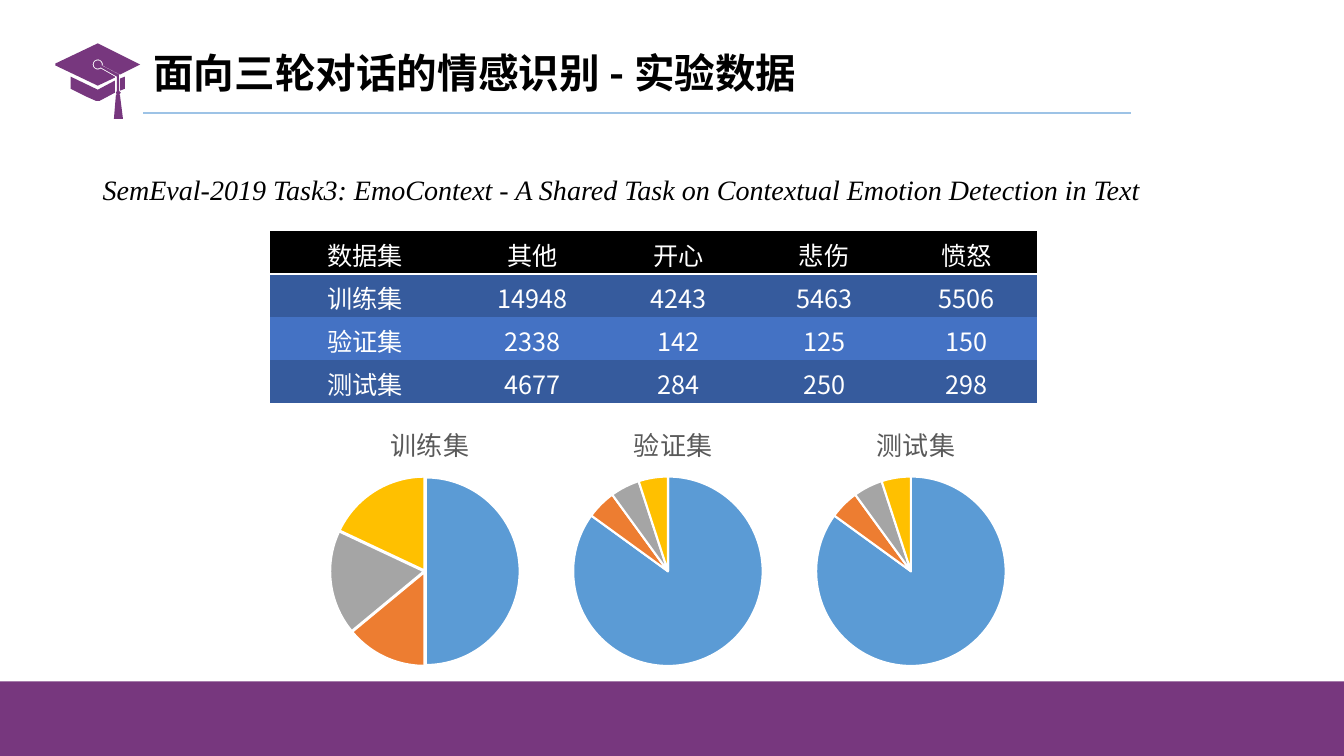
from math import cos, radians, sin

from lxml.etree import SubElement
from pptx import Presentation
from pptx.chart.data import CategoryChartData
from pptx.dml.color import RGBColor
from pptx.enum.chart import XL_CHART_TYPE as ChartType
from pptx.enum.shapes import MSO_CONNECTOR as Connector, MSO_SHAPE as Shape
from pptx.enum.text import MSO_ANCHOR as Anchor, PP_ALIGN as Align
from pptx.oxml import parse_xml
from pptx.oxml.ns import nsdecls, qn
from pptx.util import Inches, Pt

PURPLE = RGBColor(0x77, 0x37, 0x7E)
BLACK = RGBColor(0, 0, 0)
WHITE = RGBColor(0xFF, 0xFF, 0xFF)
GREY = RGBColor(0x59, 0x59, 0x59)
RULE_BLUE = RGBColor(0x9D, 0xC3, 0xE6)
ROW_DARK = RGBColor(0x36, 0x5B, 0x9D)
ROW_LIGHT = RGBColor(0x44, 0x72, 0xC4)
SLICES = [RGBColor(0x5B, 0x9B, 0xD5), RGBColor(0xED, 0x7D, 0x31),
          RGBColor(0xA5, 0xA5, 0xA5), RGBColor(0xFF, 0xC0, 0x00)]

SANS = "Noto Sans CJK SC"
TITLE_FORMAT = {"name": SANS, "size": Pt(29), "bold": True}
TASK_FORMAT = {"name": "Times New Roman", "size": Pt(20), "italic": True}
CELL_FORMAT = {"name": SANS, "size": Pt(18), "bold": False}
CHART_TITLE_FORMAT = {"name": SANS, "size": Pt(18.6), "bold": False}
NO_GRID_STYLE = "{2D5ABB26-0587-4C30-8999-92F81FD0307C}"

HEADER = ["数据集", "其他", "开心", "悲伤", "愤怒"]
COUNTS = {
    "训练集": [14948, 4243, 5463, 5506],
    "验证集": [2338, 142, 125, 150],
    "测试集": [4677, 284, 250, 298],
}
COLUMN_WIDTHS = [1.88, 1.44, 1.46, 1.43, 1.4]


def write(para, text, values, color):
    """Add one formatted span, with the same font for Chinese text."""
    span = para.add_run()
    span.text = text
    for name, value in values.items():
        setattr(span.font, name, value)
    span.font.color.rgb = color
    SubElement(span.font._element, qn("a:ea"), typeface=values["name"])


def arc(radius, start, end, steps=20):
    """Points around the button of the cap, angles in degrees."""
    angles = [radians(start + (end - start) * i / steps) for i in range(steps + 1)]
    return [(42 + radius * cos(a), 21 + radius * sin(a)) for a in angles]


def add_cap(page, left, top):
    """Graduation cap, outlined in hundredths of an inch."""
    side = [(64, 47), (69, 45), (69, 33), (64, 35)]
    crown = [(15, 33), (15, 45), (23, 49), (31, 53), (40, 57), (44, 57),
             (59, 49), (59, 37), (42, 46)]
    cord = [(63, 32), (63, 31), (46, 22), *arc(4, 10, -315), (61, 33)]
    board = [(84, 21), (42, 0), (0, 20), (0, 22), (42, 42), (59, 34), (59, 33),
             (45, 25), *arc(5, 60, 370), (64, 31)]
    tassel = [(63, 32), (63, 47), (65, 49), (63, 51), (64, 51), (67, 75), (58, 75),
              (60, 51), (61, 51), (60, 49), (61, 47), (61, 33)]
    builder = None
    for contour in (side, crown, cord, board, tassel):
        points = [(10 * x, 10 * y) for x, y in contour]
        if builder is None:
            builder = page.shapes.build_freeform(*points[0], scale=Inches(1) / 1000)
        else:
            builder.move_to(*points[0])
        builder.add_line_segments(points[1:], close=True)
    fill_plain(builder.convert_to_shape(Inches(left), Inches(top)), PURPLE)


def fill_plain(shape, color):
    shape.shadow.inherit = False
    shape.fill.solid()
    shape.fill.fore_color.rgb = color
    shape.line.fill.background()


def add_heading(page, left, top, width, height):
    title = page.shapes.title
    title.left, title.top = Inches(left), Inches(top)
    title.width, title.height = Inches(width), Inches(height)
    title.text_frame.vertical_anchor = Anchor.MIDDLE
    para = title.text_frame.paragraphs[0]
    para.alignment = Align.LEFT
    para.line_spacing = 0.9
    write(para, "面向三轮对话的情感识别 - 实验数据", TITLE_FORMAT, BLACK)
    add_cap(page, left - 0.87, top + 0.06)
    base = Inches(top + height)
    rule = page.shapes.add_connector(
        Connector.STRAIGHT, Inches(left), base, Inches(left + 9.8), base)
    rule.line.color.rgb = RULE_BLUE
    rule.line.width = Pt(1.5)
    SubElement(rule._element.spPr, qn("a:effectLst"))


def add_task_name(page, left, top, width, height):
    box = page.shapes.add_textbox(
        Inches(left), Inches(top), Inches(width), Inches(height))
    box.text_frame.word_wrap = True
    para = box.text_frame.paragraphs[0]
    para.line_spacing = 1.5
    write(para, "SemEval-2019 Task3: EmoContext - A Shared Task on "
          "Contextual Emotion Detection in Text", TASK_FORMAT, BLACK)


def add_count_table(page, left, top, width, height):
    rows = [HEADER] + [[name, *counts] for name, counts in COUNTS.items()]
    table = page.shapes.add_table(
        len(rows), len(HEADER), Inches(left), Inches(top),
        Inches(width), Inches(height)).table
    table._tbl.tblPr.find(qn("a:tableStyleId")).text = NO_GRID_STYLE
    for column, column_width in zip(table.columns, COLUMN_WIDTHS):
        column.width = Inches(column_width)
    fills = [BLACK, ROW_DARK, ROW_LIGHT, ROW_DARK]
    for r, (row, color) in enumerate(zip(rows, fills)):
        for c, value in enumerate(row):
            cell = table.cell(r, c)
            cell.fill.solid()
            cell.fill.fore_color.rgb = color
            para = cell.text_frame.paragraphs[0]
            para.alignment = Align.CENTER
            write(para, str(value), CELL_FORMAT, WHITE)
            if r == 0:
                cell.vertical_anchor = Anchor.MIDDLE
                cell._tc.tcPr.insert(0, parse_xml(
                    f'<a:lnB {nsdecls("a")} w="25400"><a:solidFill>'
                    f'<a:srgbClr val="{WHITE}"/></a:solidFill></a:lnB>'))


def set_layout(parent, index, **fractions):
    """Place a chart part by fractions of the chart area."""
    for old in parent.findall(qn("c:layout")):
        parent.remove(old)
    layout = parse_xml(f'<c:layout {nsdecls("c")}><c:manualLayout/></c:layout>')
    for name, value in fractions.items():
        SubElement(layout[0], qn(f"c:{name}"), val=str(value))
    parent.insert(index, layout)


def add_share_pie(page, name, counts, explosion, left, top, width, height):
    data = CategoryChartData()
    data.categories = [str(i + 1) for i in range(len(counts))]
    data.add_series("Series 1", [round(100 * n / sum(counts)) for n in counts])
    chart = page.shapes.add_chart(
        ChartType.PIE, Inches(left), Inches(top),
        Inches(width), Inches(height), data).chart
    chart.has_legend = False
    chart.font.name, chart.font.size = SANS, Pt(10)
    chart.font.color.rgb = BLACK
    chart.has_title = True
    title = chart.chart_title
    write(title.text_frame.paragraphs[0], name, CHART_TITLE_FORMAT, GREY)
    title.include_in_layout = False
    set_layout(title._element, 1, xMode="edge", yMode="edge", x=0.34, y=0.07)
    set_layout(chart._chartSpace.chart.plotArea, 0, layoutTarget="inner",
               xMode="edge", yMode="edge", x=0.11, y=0.28, w=0.78, h=0.67)
    plot = chart.plots[0]
    plot.vary_by_categories = True
    series = plot.series[0]
    for i, color in enumerate(SLICES):
        slice_format = series.points[i].format
        slice_format.fill.solid()
        slice_format.fill.fore_color.rgb = color
        slice_format.line.color.rgb = WHITE
        slice_format.line.width = Pt(1.5)
    if explosion:
        first_point = series._element.find(qn("c:dPt"))
        first_point.addprevious(
            parse_xml(f'<c:explosion {nsdecls("c")} val="{explosion}"/>'))


def add_pie_row(page, left, top, width, height):
    pie_width = width / len(COUNTS)
    for i, (name, counts) in enumerate(COUNTS.items()):
        add_share_pie(page, name, counts, 1 if i == 0 else 0,
                      left + i * pie_width, top, pie_width, height)


def add_footer_band(page, left, top, width, height):
    band = page.shapes.add_shape(
        Shape.RECTANGLE, Inches(left), Inches(top), Inches(width), Inches(height))
    fill_plain(band, PURPLE)


def main():
    deck = Presentation()
    deck.slide_width, deck.slide_height = Inches(13.33), Inches(7.5)
    page = deck.slides.add_slide(deck.slide_layouts[5])
    add_heading(page, 1.42, 0.37, 8.96, 0.75)
    add_task_name(page, 0.92, 1.5, 11.5, 4.76)
    add_count_table(page, 2.68, 2.29, 7.62, 1.71)
    add_pie_row(page, 3.01, 3.94, 7.23, 2.81)
    add_footer_band(page, 0, 6.76, 13.33, 0.74)
    deck.save("out.pptx")


if __name__ == "__main__":
    main()
